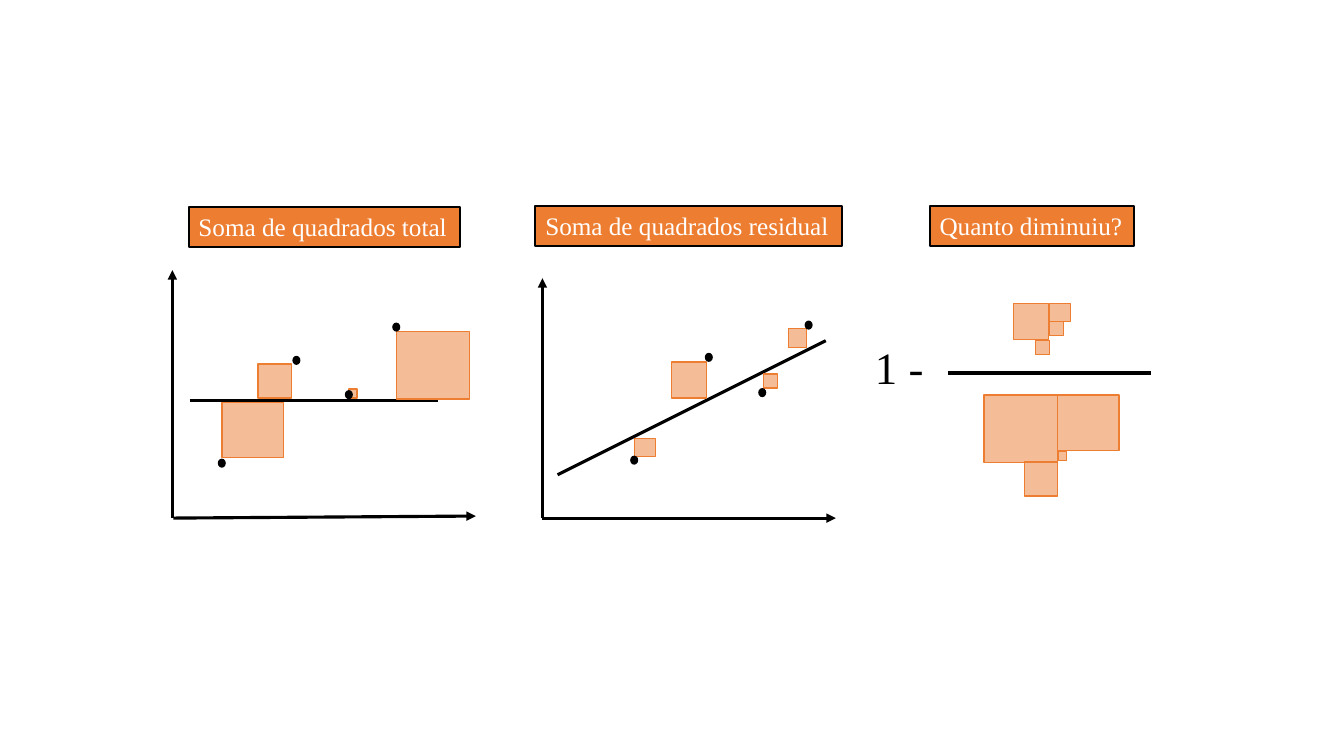
import dataclasses

import pptx
import pptx.dml.color
import pptx.enum.shapes
import pptx.enum.text
import pptx.oxml
import pptx.oxml.ns
import pptx.util
from pptx.util import Inches

ORANGE, BLACK, WHITE = "ED7D31", "000000", "FFFFFF"
FONT = "Times New Roman"
DOT_WIDTH, DOT_HEIGHT = 0.08, 0.09
SHAPES = pptx.enum.shapes.MSO_SHAPE


@dataclasses.dataclass(frozen=True)
class Square:
    """A squared deviation, in inches."""
    left: float
    top: float
    width: float
    height: float

    def moved(self, left: float, top: float) -> "Square":
        """Return the same square at another place."""
        return dataclasses.replace(self, left=left, top=top)


@dataclasses.dataclass(frozen=True)
class Line:
    """A straight line, with an arrowhead at its end if it is an axis."""
    x1: float
    y1: float
    x2: float
    y2: float
    is_axis: bool = False


@dataclasses.dataclass(frozen=True)
class Plot:
    """A scatter plot with its axes, fitted line, squares and points."""
    lines: tuple[Line, ...]
    squares: tuple[Square, ...]
    points: tuple[tuple[float, float], ...]


@dataclasses.dataclass(frozen=True)
class Heading:
    """A boxed heading."""
    text: str
    left: float
    top: float
    width: float


HEADINGS = (
    Heading("Soma de quadrados total", 1.87, 2.05, 2.69),
    Heading("Soma de quadrados residual", 5.31, 2.04, 3.04),
    Heading("Quanto diminuiu?", 9.22, 2.04, 2.03),
)
TOTAL = Plot(
    lines=(Line(1.71, 5.14, 1.71, 2.68, True),
           Line(1.72, 5.14, 4.72, 5.12, True),
           Line(1.88, 3.97, 4.34, 3.97)),
    squares=(Square(2.2, 3.99, 0.61, 0.55), Square(2.56, 3.61, 0.33, 0.34),
             Square(3.46, 3.86, 0.08, 0.09), Square(3.93, 3.29, 0.73, 0.67)),
    points=((2.9, 3.53), (2.16, 4.55), (3.42, 3.87), (3.89, 3.2)),
)
RESIDUAL = Plot(
    lines=(Line(5.38, 5.14, 5.38, 2.76, True),
           Line(5.38, 5.14, 8.29, 5.14, True),
           Line(5.53, 4.71, 8.19, 3.38)),
    squares=(Square(6.29, 4.35, 0.21, 0.18), Square(6.66, 3.59, 0.35, 0.36),
             Square(7.57, 3.71, 0.14, 0.14), Square(7.82, 3.26, 0.18, 0.19)),
    points=((6.99, 3.5), (6.25, 4.52), (7.52, 3.85), (7.98, 3.18)),
)
FRACTION_BAR = Line(9.4, 3.7, 11.42, 3.7)
# Places of each plot's squares, in the plot's order, stacked in the fraction.
DENOMINATOR = ((10.49, 3.92), (10.16, 4.58), (10.5, 4.48), (9.76, 3.92))
NUMERATOR = ((10.41, 3.01), (10.05, 3.01), (10.27, 3.38))
SMALL_RESIDUAL = Square(10.41, 3.19, 0.14, 0.14)


def rgb(color: str) -> pptx.dml.color.RGBColor:
    """Turn a hex string into a colour."""
    return pptx.dml.color.RGBColor.from_string(color)


def add_filled(slide, kind, box: Square, color: str):
    """Add a shape with a solid fill and no shadow."""
    shape = slide.shapes.add_shape(
        kind, Inches(box.left), Inches(box.top),
        Inches(box.width), Inches(box.height))
    shape.shadow.inherit = False
    shape.fill.solid()
    shape.fill.fore_color.rgb = rgb(color)
    return shape


def set_outline(shape, color: str, points: float) -> None:
    """Set the colour and width of an outline."""
    shape.line.color.rgb = rgb(color)
    shape.line.width = pptx.util.Pt(points)


def add_square(slide, square: Square) -> None:
    """Add a half-transparent orange square."""
    shape = add_filled(slide, SHAPES.RECTANGLE, square, ORANGE)
    set_outline(shape, ORANGE, 1)
    fill_color = shape.fill._xPr.find(".//" + pptx.oxml.ns.qn("a:srgbClr"))
    alpha = pptx.oxml.parse_xml(
        f'<a:alpha {pptx.oxml.ns.nsdecls("a")} val="50000"/>')
    fill_color.append(alpha)


def add_point(slide, left: float, top: float) -> None:
    """Add a black data point."""
    box = Square(left, top, DOT_WIDTH, DOT_HEIGHT)
    add_filled(slide, SHAPES.OVAL, box, BLACK).line.fill.background()


def add_line(slide, line: Line) -> None:
    """Add a black line or axis."""
    connector = slide.shapes.add_connector(
        pptx.enum.shapes.MSO_CONNECTOR.STRAIGHT,
        Inches(line.x1), Inches(line.y1), Inches(line.x2), Inches(line.y2))
    set_outline(connector, BLACK, 2.25)
    namespace = pptx.oxml.ns.nsdecls("a")
    if line.is_axis:
        connector.line._get_or_add_ln().append(pptx.oxml.parse_xml(
            f'<a:tailEnd {namespace} type="triangle"/>'))
    connector._element.spPr.append(
        pptx.oxml.parse_xml(f"<a:effectLst {namespace}/>"))


def write(shape, text: str, size: float, color: str, wrap: bool) -> None:
    """Put left-aligned text in a shape that fits its text."""
    frame = shape.text_frame
    frame.text = text
    frame.word_wrap = wrap
    frame.auto_size = pptx.enum.text.MSO_AUTO_SIZE.SHAPE_TO_FIT_TEXT
    frame.vertical_anchor = pptx.enum.text.MSO_ANCHOR.TOP
    paragraph = frame.paragraphs[0]
    paragraph.alignment = pptx.enum.text.PP_ALIGN.LEFT
    font = paragraph.runs[0].font
    font.name = FONT
    font.size = pptx.util.Pt(size)
    font.color.rgb = rgb(color)


def add_heading(slide, heading: Heading) -> None:
    """Add an orange box with a heading."""
    box = Square(heading.left, heading.top, heading.width, 0.4)
    shape = add_filled(slide, SHAPES.RECTANGLE, box, ORANGE)
    set_outline(shape, BLACK, 1.5)
    write(shape, heading.text, 18, WHITE, wrap=False)


def add_plot(slide, plot: Plot) -> None:
    """Add a scatter plot."""
    for line in plot.lines:
        add_line(slide, line)
    for square in plot.squares:
        add_square(slide, square)
    for left, top in plot.points:
        add_point(slide, left, top)


def add_fraction(slide) -> None:
    """Add one minus the residual squares over the total squares."""
    for plot, places in ((TOTAL, DENOMINATOR), (RESIDUAL, NUMERATOR)):
        for square, place in zip(plot.squares, places):
            add_square(slide, square.moved(*place))
    add_square(slide, SMALL_RESIDUAL)
    add_line(slide, FRACTION_BAR)
    one_minus = slide.shapes.add_textbox(
        Inches(8.58), Inches(3.32), Inches(0.73), Inches(0.64))
    write(one_minus, "1 -", 32, BLACK, wrap=True)


presentation = pptx.Presentation()
presentation.slide_width = Inches(13.33)
presentation.slide_height = Inches(7.5)
slide = presentation.slides.add_slide(
    presentation.slide_layouts.get_by_name("Blank"))
add_plot(slide, RESIDUAL)
add_plot(slide, TOTAL)
add_fraction(slide)
for heading in HEADINGS:
    add_heading(slide, heading)
presentation.save("out.pptx")
